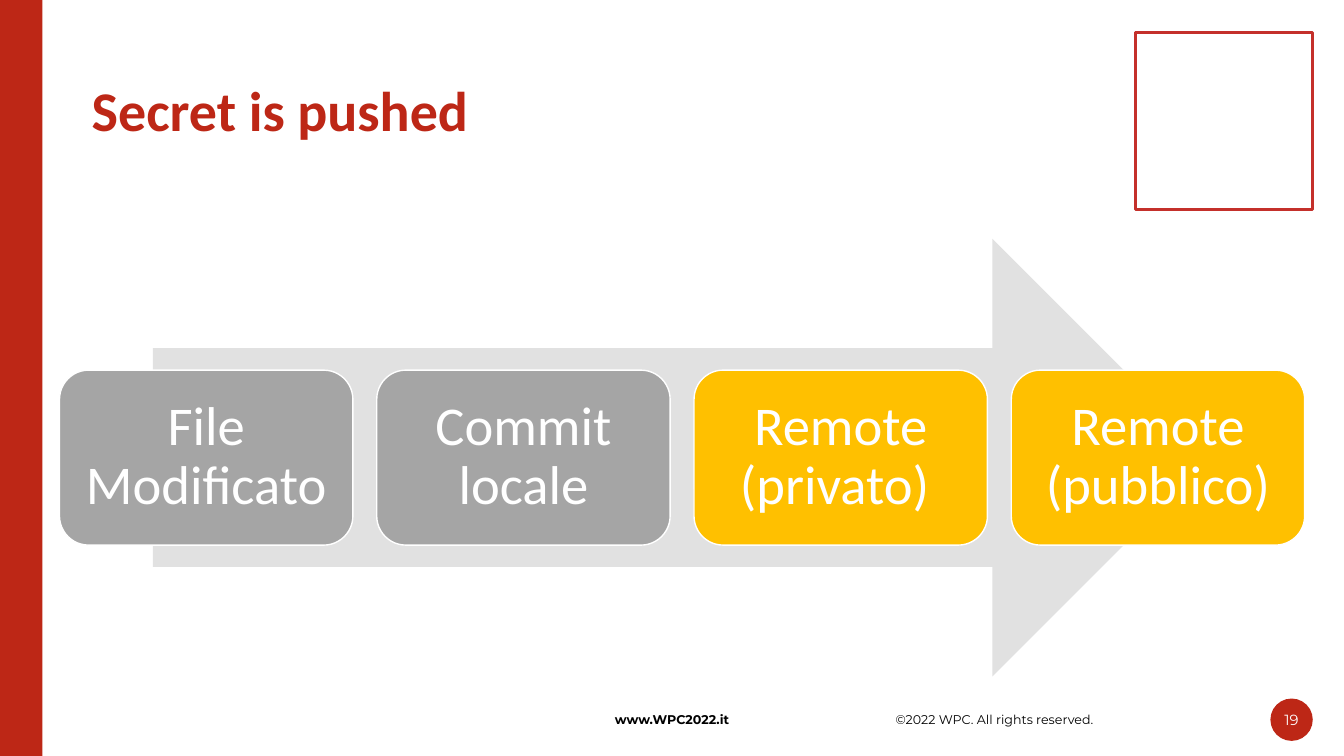
from pptx import Presentation
from pptx.dml.color import RGBColor
from pptx.enum.shapes import MSO_SHAPE as Preset
from pptx.enum.text import MSO_ANCHOR as Anchor, MSO_AUTO_SIZE as AutoSize, PP_ALIGN as Align
from pptx.util import Inches, Pt

COLORS = {
    "red": "BD2716",
    "frame": "C4302B",
    "white": "FFFFFF",
    "black": "000000",
    "arrow": "E1E1E1",
    "gray": "A5A5A5",
    "amber": "FFC000",
}
STEPS = [
    ("File Modificato", "gray"),
    ("Commit locale", "gray"),
    ("Remote (privato) ", "amber"),
    ("Remote (pubblico)", "amber"),
]


def color(name):
    """Return the named colour."""
    return RGBColor.from_string(COLORS[name])


def write(shape, text, *, size, font, ink, bold=False, align=Align.LEFT,
          anchor=Anchor.TOP, inset=(0.1, 0.05), spacing=1.0):
    """Put one formatted paragraph in a shape."""
    frame = shape.text_frame
    frame.word_wrap = True
    frame.auto_size = AutoSize.NONE
    frame.vertical_anchor = anchor
    frame.margin_left = frame.margin_right = Inches(inset[0])
    frame.margin_top = frame.margin_bottom = Inches(inset[1])
    para = frame.paragraphs[0]
    para.alignment = align
    para.line_spacing = spacing
    span = para.add_run()
    span.text = text
    span.font.size = Pt(size)
    span.font.name = font
    span.font.bold = bold
    span.font.color.rgb = color(ink)


def add_preset(page, preset, box, fill, line=None, width=1):
    """Add a filled preset shape, outlined when a line colour is given."""
    shape = page.shapes.add_shape(preset, *map(Inches, box))
    shape.shadow.inherit = False
    shape.fill.solid()
    shape.fill.fore_color.rgb = color(fill)
    if line:
        shape.line.color.rgb = color(line)
        shape.line.width = Pt(width)
    else:
        shape.line.fill.background()
    return shape


def add_frame(page, box):
    """Draw the side band and the empty corner square."""
    left, top, width, height = box
    add_preset(page, Preset.RECTANGLE, (left, top, 0.42, height), "red")
    side = 1.76
    add_preset(page, Preset.RECTANGLE, (left + width - 0.31 - side, top + 0.32, side, side),
               "white", "frame", 2.25)


def add_footer(page, box):
    """Write the site, the copyright line and the page number."""
    left, top, width, height = box
    site = page.shapes.add_textbox(*map(Inches, (left, top + 0.08, 3.93, 0.25)))
    write(site, "www.WPC2022.it", size=9, font="Montserrat", ink="black",
          bold=True, align=Align.CENTER)
    rights = page.shapes.add_textbox(*map(Inches, (left + 3.66, top + 0.08, 2.58, 0.25)))
    write(rights, "©2022 WPC. All rights reserved.", size=9, font="Montserrat",
          ink="black", align=Align.RIGHT)
    badge = add_preset(page, Preset.OVAL, (left + width - height, top, height, height), "red")
    write(badge, "19", size=10.5, font="Montserrat", ink="white",
          align=Align.CENTER, anchor=Anchor.MIDDLE, inset=(0, 0))


def add_title(page, box):
    """Place and fill the title."""
    title = page.shapes.title
    title.left, title.top, title.width, title.height = map(Inches, box)
    write(title, "Secret is pushed", size=40, font="Calibri", ink="red",
          bold=True, spacing=0.9)


def add_process(page, box):
    """Draw the arrow with the row of steps over it."""
    left, top, width, height = box
    arrow_width = width * 0.85
    add_preset(page, Preset.RIGHT_ARROW,
               (left + (width - arrow_width) / 2, top, arrow_width, height), "arrow")
    step_width, step_height = 2.91, height * 0.4
    pitch = (width - step_width) / (len(STEPS) - 1)
    for index, (label, fill) in enumerate(STEPS):
        step = add_preset(page, Preset.ROUNDED_RECTANGLE,
                          (left + index * pitch, top + height * 0.3, step_width, step_height),
                          fill, "white")
        write(step, label, size=39, font="Calibri", ink="white", align=Align.CENTER,
              anchor=Anchor.MIDDLE, inset=(0.16, 0.16), spacing=0.9)


def main():
    """Build and save the deck."""
    deck = Presentation()
    deck.slide_width, deck.slide_height = Inches(13.33), Inches(7.5)
    page = deck.slides.add_slide(deck.slide_layouts[5])
    add_frame(page, (0, 0, 13.33, 7.5))
    add_footer(page, (4.7, 6.93, 8.32, 0.42))
    add_title(page, (0.81, 0.77, 10.85, 0.79))
    add_process(page, (0.59, 2.37, 12.35, 4.34))
    deck.save("out.pptx")


if __name__ == "__main__":
    main()
